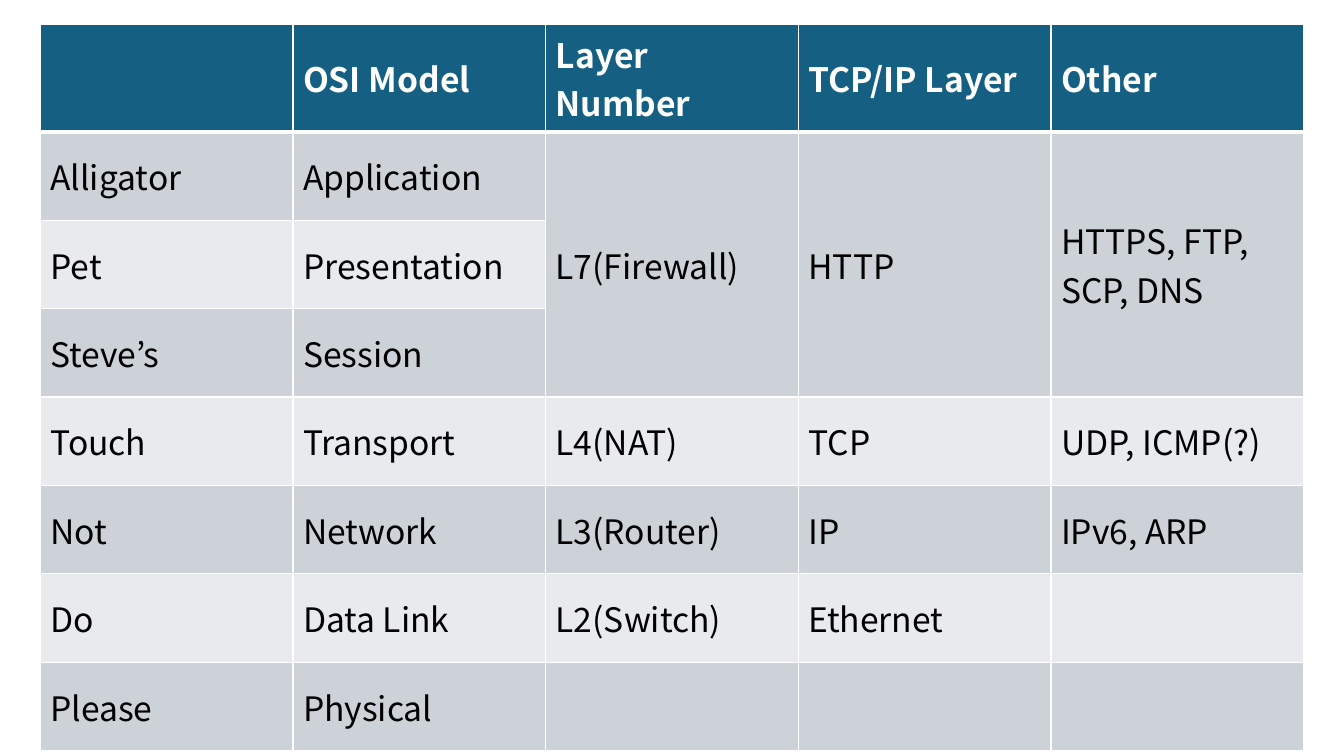
from lxml import etree
from pptx import Presentation
from pptx.dml.color import RGBColor
from pptx.enum.text import MSO_ANCHOR
from pptx.oxml.ns import qn
from pptx.util import Inches, Pt

MIDDLE = MSO_ANCHOR.MIDDLE
FONT = "Noto Sans CJK KR"
COLORS = {
    "head": "156082",
    "dark": "CCD2D8",
    "light": "E8EAED",
    "white": "FFFFFF",
    "black": "000000",
}
ROWS = [
    ["", "OSI Model", "Layer Number", "TCP/IP Layer", "Other"],
    ["Alligator", "Application", "L7(Firewall)", "HTTP", "HTTPS, FTP, SCP, DNS"],
    ["Pet", "Presentation", "", "", ""],
    ["Steve’s", "Session", "", "", ""],
    ["Touch", "Transport", "L4(NAT)", "TCP", "UDP, ICMP(?)"],
    ["Not", "Network", "L3(Router)", "IP", "IPv6, ARP"],
    ["Do", "Data Link", "L2(Switch)", "Ethernet", ""],
    ["Please", "Physical", "", "", ""],
]


def color(name):
    return RGBColor.from_string(COLORS[name])


def set_edges(cell, top, bottom):
    """Draw white borders; widths are in points."""
    props = cell._tc.get_or_add_tcPr()
    edges = {"a:lnL": 1, "a:lnR": 1, "a:lnT": top, "a:lnB": bottom}
    for place, (tag, width) in enumerate(edges.items()):
        line = etree.Element(qn(tag), w=str(Pt(width)))
        fill = etree.SubElement(line, qn("a:solidFill"))
        etree.SubElement(fill, qn("a:srgbClr"), val=COLORS["white"])
        props.insert(place, line)


def set_cell(cell, text, row):
    head = row == 0
    cell.vertical_anchor = MIDDLE
    cell.fill.solid()
    cell.fill.fore_color.rgb = color("head" if head else "dark" if row % 2 else "light")
    set_edges(cell, top=3 if row == 1 else 1, bottom=3 if head else 1)
    cell.text = text
    for run in cell.text_frame.paragraphs[0].runs:
        font = run.font
        font.name = FONT
        font.size = Pt(24)
        font.bold = head
        font.color.rgb = color("white" if head else "black")


def add_grid(slide, rows, left, top, width, height):
    frame = slide.shapes.add_table(len(rows), len(rows[0]), left, top, width, height)
    table = frame.table
    for r, texts in enumerate(rows):
        for c, text in enumerate(texts):
            set_cell(table.cell(r, c), text, r)
    return table


def main():
    deck = Presentation()
    deck.slide_width = Inches(13.33)
    deck.slide_height = Inches(7.5)
    slide = deck.slides.add_slide(deck.slide_layouts[6])

    # Layer table
    table = add_grid(slide, ROWS, Inches(0.4), Inches(0.24), Inches(12.53), Inches(7.02))

    # The top three layers share their last three cells
    for c in range(2, 5):
        table.cell(1, c).merge(table.cell(3, c))

    deck.save("out.pptx")


if __name__ == "__main__":
    main()
